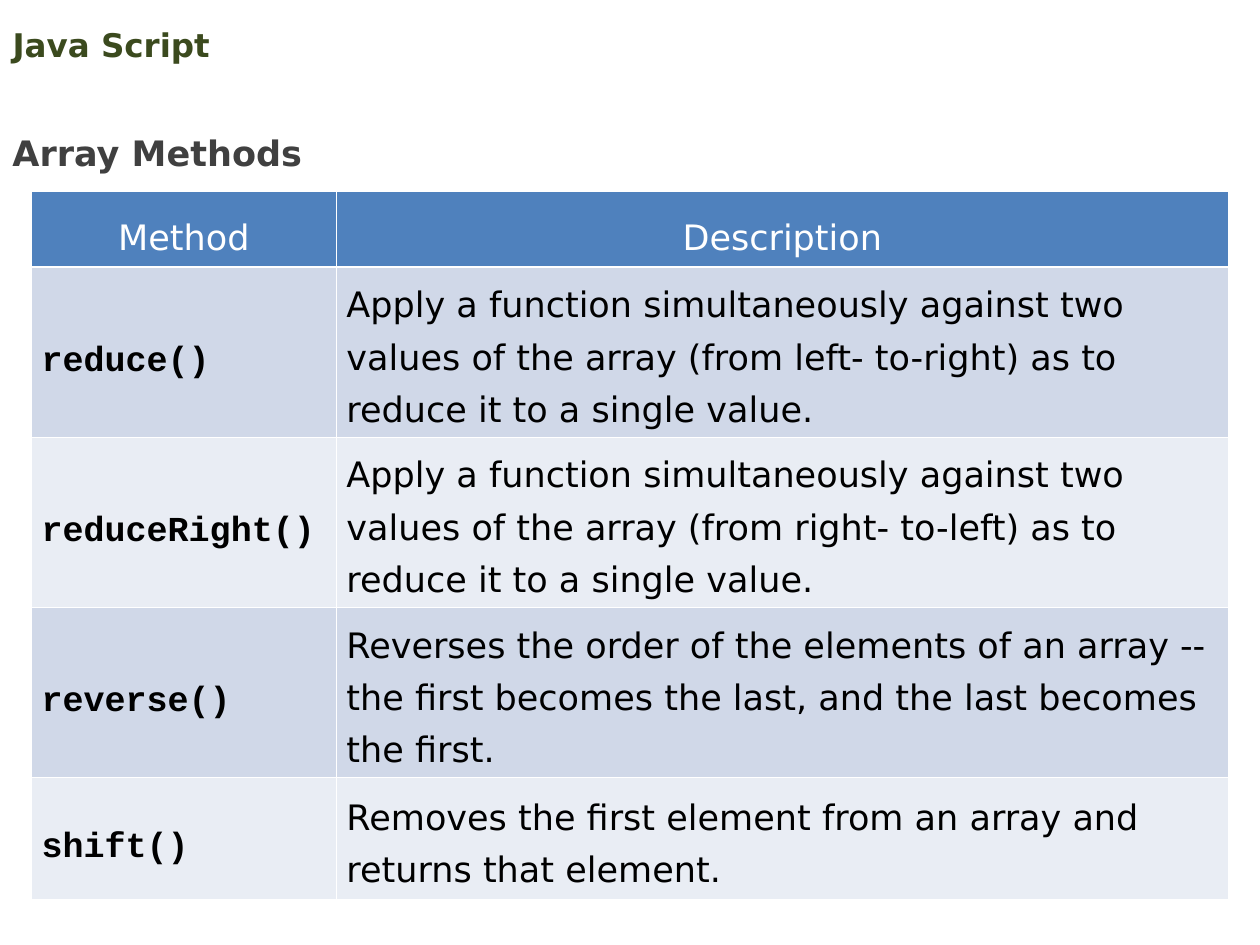
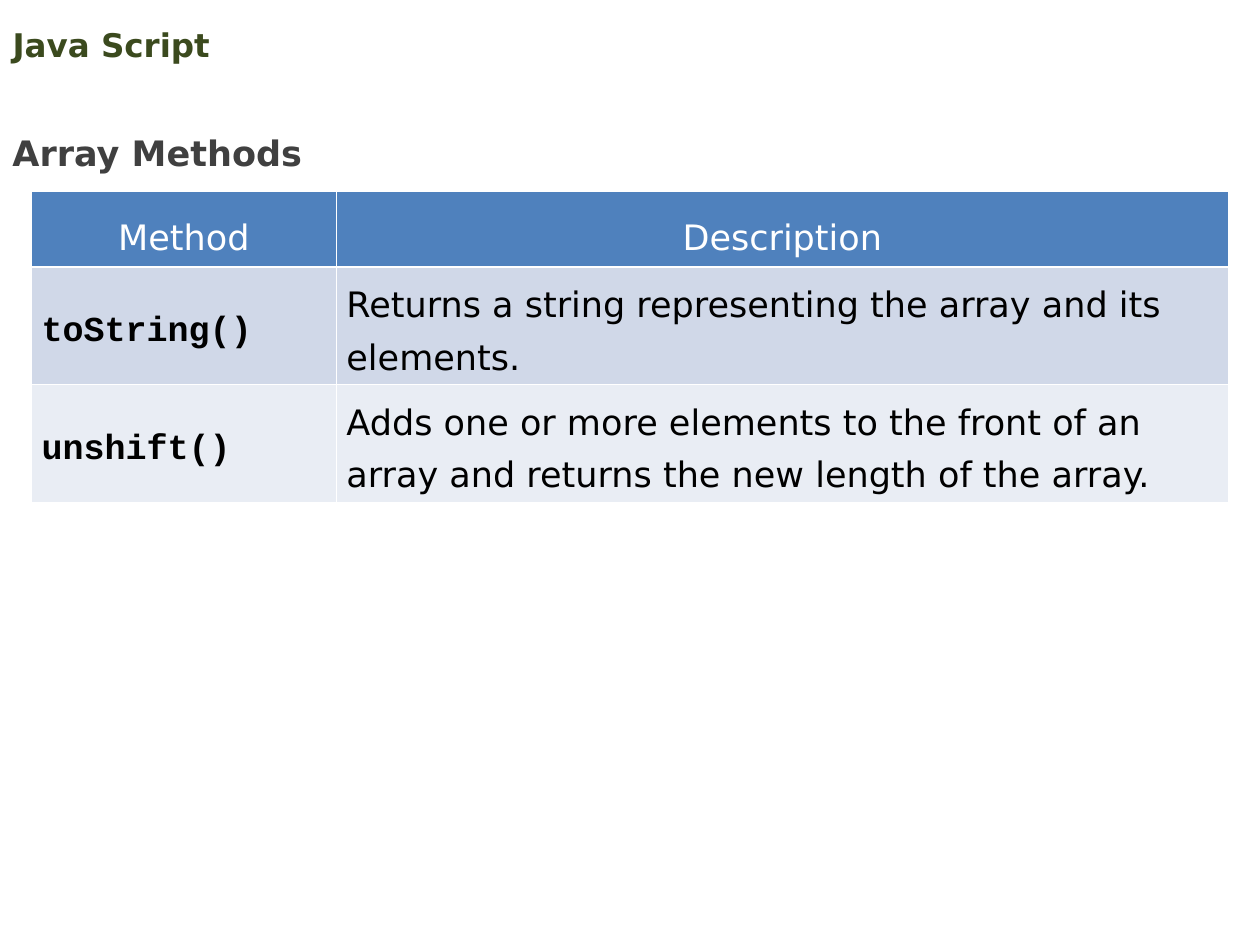
import pptx
import pptx.dml.color
import pptx.enum.text
import pptx.oxml.ns
import pptx.util
from dataclasses import dataclass
from lxml import etree
from pptx.util import Inches

ALIGN = pptx.enum.text.PP_ALIGN
ANCHOR = pptx.enum.text.MSO_ANCHOR
AUTO_SIZE = pptx.enum.text.MSO_AUTO_SIZE


@dataclass(frozen=True)
class Theme:
    title_color: str = "3B4A1E"
    heading_color: str = "404040"
    header_fill: str = "4F81BD"
    band_fills: tuple = ("D0D8E8", "E9EDF4")
    light: str = "FFFFFF"
    dark: str = "000000"
    text_font: str = "DejaVu Sans"
    code_font: str = "Courier New"
    title_size: float = 18.6
    text_size: float = 20
    thin_line: float = 0.45
    thick_line: float = 1.47
    relaxed: float = 1.5
    fixed_lines: pptx.util.Length = pptx.util.Pt(30)


class Deck:
    """Holds the theme and the current slide."""

    def __init__(self, theme):
        self.theme = theme
        self.presentation = pptx.Presentation()
        self.presentation.slide_width = Inches(10)
        self.presentation.slide_height = Inches(7.5)
        self.page = None

    def set_text(self, frame, text, color, size=None, font=None, bold=False,
                 align=ALIGN.LEFT, spacing=None):
        paragraph = frame.paragraphs[0]
        paragraph.text = text
        paragraph.alignment = align
        if spacing is not None:
            paragraph.line_spacing = spacing
        paragraph.font.name = font or self.theme.text_font
        paragraph.font.size = pptx.util.Pt(size or self.theme.text_size)
        paragraph.font.bold = bold
        paragraph.font.color.rgb = pptx.dml.color.RGBColor.from_string(color)

    # Title placeholder on a new page
    def add_page(self, title):
        layout = self.presentation.slide_layouts.get_by_name("Title Only")
        self.page = self.presentation.slides.add_slide(layout)
        box = self.page.shapes.title
        box.left, box.top = Inches(0), Inches(0.14)
        box.width, box.height = Inches(9), Inches(0.43)
        frame = box.text_frame
        frame.vertical_anchor = ANCHOR.MIDDLE
        frame.auto_size = AUTO_SIZE.NONE
        self.set_text(frame, title, self.theme.title_color,
                      size=self.theme.title_size, bold=True)

    def add_heading(self, text):
        box = self.page.shapes.add_textbox(
            Inches(0), Inches(0.83), Inches(5.45), Inches(0.6))
        frame = box.text_frame
        frame.word_wrap = True
        frame.auto_size = AUTO_SIZE.SHAPE_TO_FIT_TEXT
        self.set_text(frame, text, self.theme.heading_color, bold=True,
                      spacing=self.theme.relaxed)

    # Cell fill, margins and borders
    def style_cell(self, cell, fill, top, bottom):
        cell.fill.solid()
        cell.fill.fore_color.rgb = pptx.dml.color.RGBColor.from_string(fill)
        cell.margin_left = cell.margin_right = Inches(0.08)
        cell.margin_top = cell.margin_bottom = Inches(0.05)
        thin = self.theme.thin_line
        edges = {"a:lnL": thin, "a:lnR": thin, "a:lnT": top, "a:lnB": bottom}
        properties = cell._tc.get_or_add_tcPr()
        qn = pptx.oxml.ns.qn
        for position, (tag, width) in enumerate(edges.items()):
            line = etree.Element(qn(tag), w=str(pptx.util.Pt(width)))
            solid = etree.SubElement(line, qn("a:solidFill"))
            etree.SubElement(solid, qn("a:srgbClr"), val=self.theme.light)
            properties.insert(position, line)

    def add_method_table(self, methods, row_heights, name_spacing):
        theme = self.theme
        column_widths = (2.42, 7.08)
        table = self.page.shapes.add_table(
            len(row_heights), len(column_widths), Inches(0.25), Inches(1.52),
            Inches(sum(column_widths)), Inches(sum(row_heights))).table
        for column, width in zip(table.columns, column_widths):
            column.width = Inches(width)
        for row, height in zip(table.rows, row_heights):
            row.height = Inches(height)

        # Header row
        for column, label in enumerate(("Method", "Description")):
            cell = table.cell(0, column)
            self.style_cell(cell, theme.header_fill, theme.thin_line,
                            theme.thick_line)
            self.set_text(cell.text_frame, label, theme.light,
                          align=ALIGN.CENTER, spacing=theme.relaxed)

        # Method rows
        fonts = (theme.code_font, theme.text_font)
        spacings = (name_spacing, theme.fixed_lines)
        for row, method in enumerate(methods, start=1):
            fill = theme.band_fills[(row - 1) % 2]
            top = theme.thick_line if row == 1 else theme.thin_line
            for column, text in enumerate(method):
                cell = table.cell(row, column)
                self.style_cell(cell, fill, top, theme.thin_line)
                cell.vertical_anchor = ANCHOR.MIDDLE
                self.set_text(cell.text_frame, text, theme.dark,
                              font=fonts[column], bold=column == 0,
                              spacing=spacings[column])


def main():
    theme = Theme()
    deck = Deck(theme)
    reducing = [
        ("reduce()", "Apply a function simultaneously against two values of the "
                     "array (from left- to-right) as to reduce it to a single value."),
        ("reduceRight()", "Apply a function simultaneously against two values of the "
                          "array (from right- to-left) as to reduce it to a single value."),
        ("reverse()", "Reverses the order of the elements of an array -- the first "
                      "becomes the last, and the last becomes the first."),
        ("shift()", "Removes the first element from an array and returns that element."),
    ]
    closing = [
        ("toString()", "Returns a string representing the array and its elements."),
        ("unshift()", "Adds one or more elements to the front of an array and "
                      "returns the new length of the array."),
    ]
    pages = [
        (reducing, (0.52, 1.3, 1.25, 1.25, 0.97), theme.relaxed),
        (closing, (0.5, 0.83, 0.88), theme.fixed_lines),
    ]
    for methods, row_heights, name_spacing in pages:
        deck.add_page("Java Script")
        deck.add_heading("Array Methods")
        deck.add_method_table(methods, row_heights, name_spacing)
    deck.presentation.save("out.pptx")


if __name__ == "__main__":
    main()
